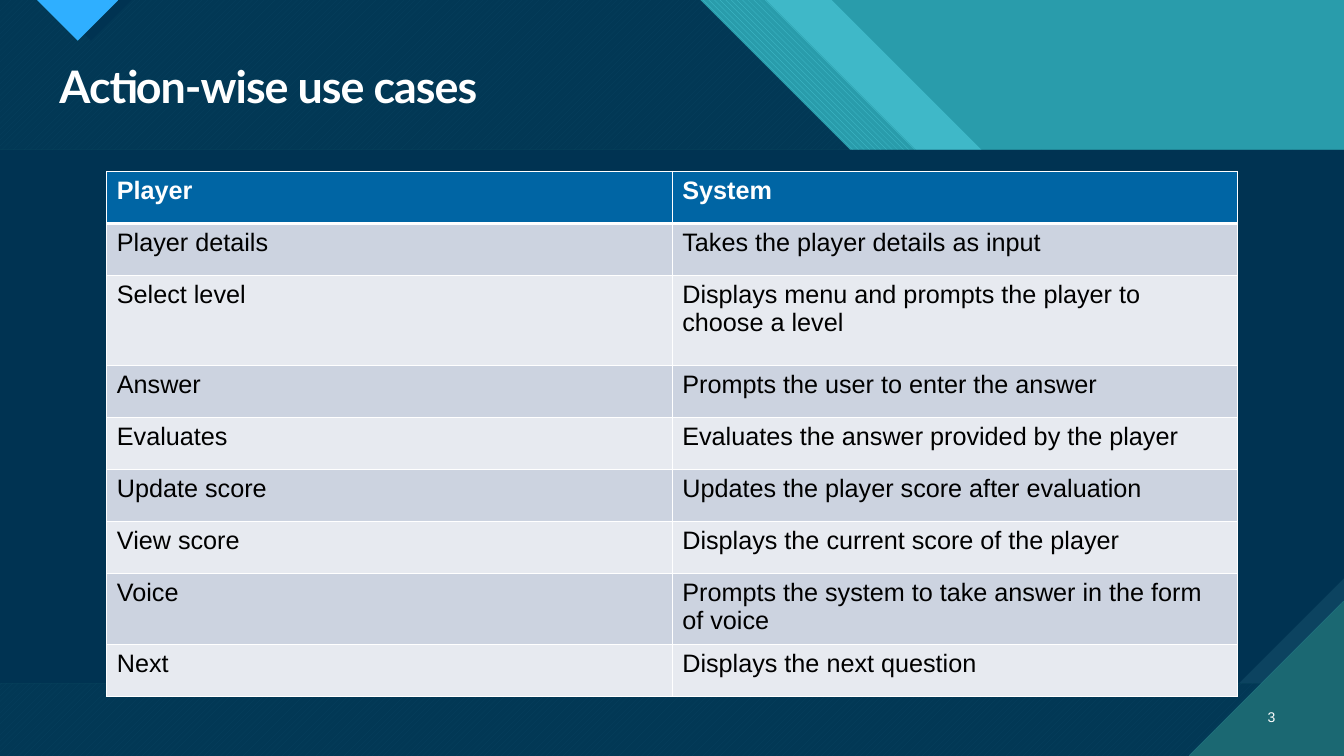
from lxml import etree
from pptx import Presentation
from pptx.dml.color import RGBColor
from pptx.enum.dml import MSO_PATTERN
from pptx.enum.shapes import MSO_SHAPE
from pptx.enum.text import MSO_ANCHOR, MSO_AUTO_SIZE, PP_ALIGN
from pptx.oxml.ns import qn
from pptx.util import Pt

DOWN_DIAGONAL = MSO_PATTERN.WIDE_DOWNWARD_DIAGONAL
UP_DIAGONAL = MSO_PATTERN.WIDE_UPWARD_DIAGONAL
DARK_HORIZONTAL = MSO_PATTERN.DARK_HORIZONTAL
DARK_VERTICAL = MSO_PATTERN.DARK_VERTICAL
RECTANGLE = MSO_SHAPE.RECTANGLE
TOP, MIDDLE = MSO_ANCHOR.TOP, MSO_ANCHOR.MIDDLE
LEFT, RIGHT = PP_ALIGN.LEFT, PP_ALIGN.RIGHT
FIT_SHAPE = MSO_AUTO_SIZE.SHAPE_TO_FIT_TEXT

COLORS = {
    "teal": "299CAB", "aqua": "47C3D3", "deep_teal": "1B6872",
    "navy": "003352", "panel": "0C4360", "sky": "2FAFFF",
    "header": "0065A4", "odd": "CCD3E0", "even": "E7EAF0",
    "white": "FFFFFF", "black": "000000",
}
WIDTH, HEIGHT = 960, 540
SHOULDER = 214
PANEL_TOP, PANEL_BOTTOM = 107, 488
TITLE_ONLY = 5

USE_CASES = [
    ("Player", "System"),
    ("Player details", "Takes the player details as input"),
    ("Select level", "Displays menu and prompts the player to choose a level"),
    ("Answer", "Prompts the user to enter the answer"),
    ("Evaluates", "Evaluates the answer provided by the player"),
    ("Update score", "Updates the player score after evaluation"),
    ("View score", "Displays the current score of the player"),
    ("Voice", "Prompts the system to take answer in the form of voice"),
    ("Next", "Displays the next question"),
]
ROW_HEIGHT, TALL_ROW_HEIGHT, TALL_ROW = 37.2, 64.2, 2


def rgb(name):
    return RGBColor.from_string(COLORS[name])


def wedge(start, shoulder):
    """Full-page outline whose top right corner is cut by two 45-degree steps."""
    return [(0, 0), (start, 0), (start + SHOULDER, SHOULDER),
            (shoulder, SHOULDER), (WIDTH, SHOULDER + WIDTH - shoulder),
            (WIDTH, HEIGHT), (0, HEIGHT)]


class SlideBuilder:
    def __init__(self, deck):
        self.page = deck.slides.add_slide(deck.slide_layouts[TITLE_ONLY])
        self.font = "Arial"

    def background(self, color):
        fill = self.page.background.fill
        fill.solid()
        fill.fore_color.rgb = rgb(color)

    def paint(self, shape, color, pattern=None, back=None, opacity=None):
        shape.shadow.inherit = False
        shape.line.fill.background()
        if pattern is None:
            shape.fill.solid()
        else:
            shape.fill.patterned()
            shape.fill.pattern = pattern
            shape.fill.back_color.rgb = rgb(back)
        shape.fill.fore_color.rgb = rgb(color)
        if opacity is not None:
            tint = shape.element.spPr.find(qn("a:solidFill"))[0]
            etree.SubElement(tint, qn("a:alpha"), val=str(opacity * 1000))

    def polygon(self, points, color, **style):
        corners = [(Pt(x), Pt(y)) for x, y in points]
        builder = self.page.shapes.build_freeform(*corners[0])
        builder.add_line_segments(corners[1:])
        self.paint(builder.convert_to_shape(), color, **style)

    def rectangle(self, left, top, width, height, color, **style):
        shape = self.page.shapes.add_shape(
            RECTANGLE, Pt(left), Pt(top), Pt(width), Pt(height))
        self.paint(shape, color, **style)

    def fill_text(self, frame, text, size, color, bold=False, font=None, align=LEFT):
        frame.text = text
        para = frame.paragraphs[0]
        para.alignment = align
        span = para.runs[0]
        span.font.name = font or self.font
        span.font.size = Pt(size)
        span.font.bold = bold
        span.font.color.rgb = rgb(color)
        return para

    def title(self, text, left, top, width, height):
        box = self.page.shapes.title
        box.left, box.top = Pt(left), Pt(top)
        box.width, box.height = Pt(width), Pt(height)
        # The title placeholder exists first, so bring it above the backdrop.
        box.element.getparent().append(box.element)
        frame = box.text_frame
        para = self.fill_text(frame, text, 32, "white", bold=True, font="Lato")
        para.line_spacing = 0.9
        para.runs[0]._r.get_or_add_rPr().set("spc", "-70")
        frame.vertical_anchor = TOP
        frame.word_wrap = True
        frame.auto_size = FIT_SHAPE

    def text(self, text, left, top, width, height, size, color, align):
        box = self.page.shapes.add_textbox(
            Pt(left), Pt(top), Pt(width), Pt(height))
        box.text_frame.word_wrap = True
        box.text_frame.vertical_anchor = MIDDLE
        self.fill_text(box.text_frame, text, size, color, align=align)

    def borders(self, cell, widths):
        """Draw white borders; widths are in points: left, right, top, bottom."""
        properties = cell._tc.get_or_add_tcPr()
        for index, (side, width) in enumerate(zip("LRTB", widths)):
            line = etree.Element(qn(f"a:ln{side}"), w=str(Pt(width)))
            fill = etree.SubElement(line, qn("a:solidFill"))
            etree.SubElement(fill, qn("a:srgbClr"), val=COLORS["white"])
            properties.insert(index, line)

    def table(self, rows, left, top, width):
        columns = len(rows[0])
        heights = [TALL_ROW_HEIGHT if index == TALL_ROW else ROW_HEIGHT
                   for index in range(len(rows))]
        grid = self.page.shapes.add_table(
            len(rows), columns, Pt(left), Pt(top), Pt(width), Pt(sum(heights))).table
        for column in grid.columns:
            column.width = Pt(width / columns)
        for r, values in enumerate(rows):
            grid.rows[r].height = Pt(heights[r])
            is_header = r == 0
            band = "header" if is_header else "odd" if r % 2 else "even"
            for c, value in enumerate(values):
                cell = grid.cell(r, c)
                cell.fill.solid()
                cell.fill.fore_color.rgb = rgb(band)
                self.fill_text(cell.text_frame, value, 18,
                               "white" if is_header else "black", bold=is_header)
                self.borders(cell, (1, 1, 3 if r == 1 else 1, 3 if is_header else 1))


def main():
    deck = Presentation()
    deck.slide_width, deck.slide_height = Pt(WIDTH), Pt(HEIGHT)
    slide = SlideBuilder(deck)

    slide.background("teal")
    slide.polygon(wedge(594, 888), "aqua", opacity=74)
    slide.polygon(wedge(547, 852), "aqua", pattern=DOWN_DIAGONAL, back="teal")
    slide.polygon(wedge(500, 805), "aqua", pattern=UP_DIAGONAL, back="deep_teal")
    slide.polygon(wedge(500, 805), "navy", opacity=90)
    slide.polygon([(35, 0), (94, 0), (65, 29)], "navy")
    slide.polygon([(26.5, 0), (84.5, 0), (55.5, 29)], "sky",
                  pattern=DARK_HORIZONTAL, back="deep_teal")
    slide.rectangle(0, PANEL_TOP, WIDTH, PANEL_BOTTOM - PANEL_TOP, "panel",
                    pattern=DARK_VERTICAL, back="deep_teal")
    slide.polygon([(0, PANEL_TOP), (WIDTH, PANEL_TOP), (WIDTH, PANEL_BOTTOM - 75),
                   (WIDTH - 75, PANEL_BOTTOM), (0, PANEL_BOTTOM)], "navy")
    slide.polygon([(849, HEIGHT), (WIDTH, HEIGHT), (WIDTH, 429)], "deep_teal",
                  pattern=DARK_HORIZONTAL, back="aqua")

    slide.title("Action-wise use cases", 35.3, 42.5, 882.7, 42.5)
    slide.text("3", 886.3, 497.5, 31.7, 28.8, 10, "white", RIGHT)
    slide.table(USE_CASES, 76.3, 122.4, 807.8)
    deck.save("out.pptx")


if __name__ == "__main__":
    main()
